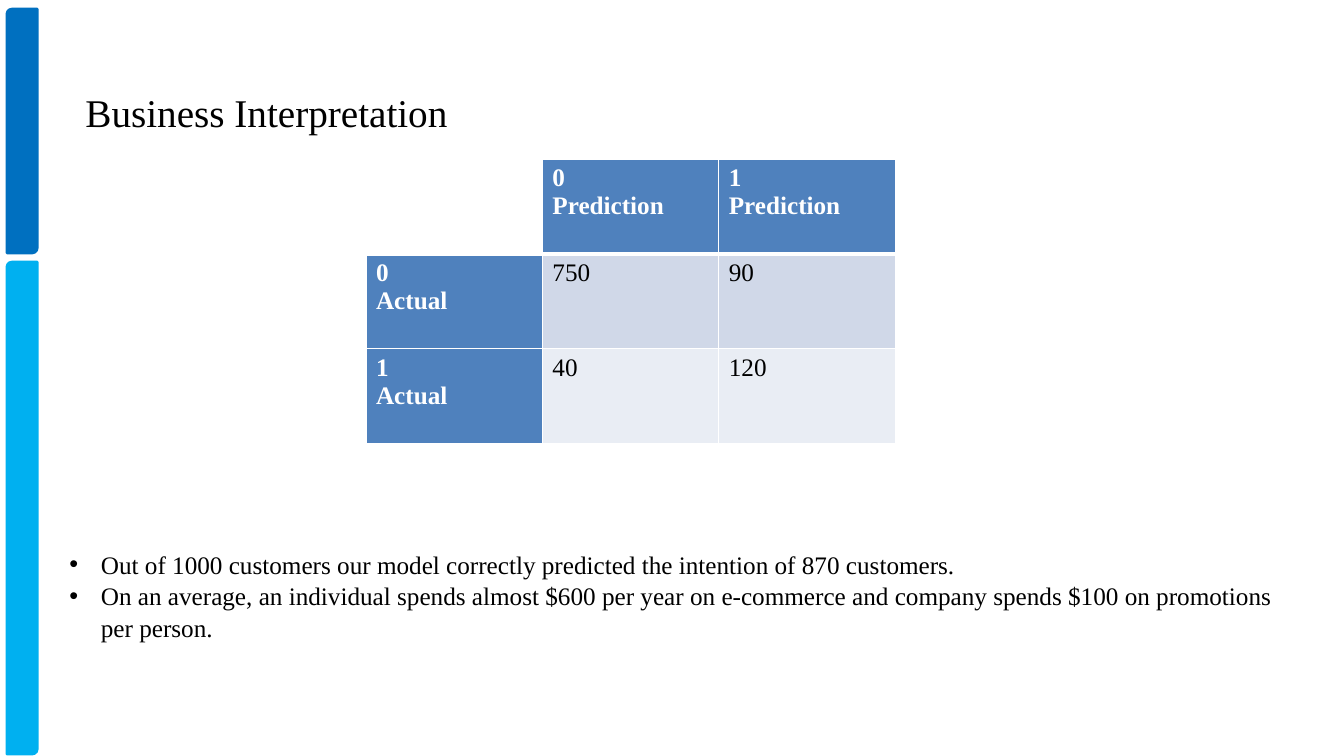
from lxml import etree
from pptx import Presentation
from pptx.dml.color import RGBColor
from pptx.enum.shapes import MSO_SHAPE
from pptx.oxml.ns import qn
from pptx.util import Pt

BAR_SHAPE = MSO_SHAPE.ROUND_2_DIAG_RECTANGLE
FONT = "Times New Roman"
COLORS = {
    "white": "FFFFFF", "black": "000000", "header": "4F81BD",
    "band1": "D0D8E8", "band2": "E9EDF4",
    "dark_bar": "0070C0", "light_bar": "00B0F0",
}

TITLE = "Business Interpretation"
MATRIX = [
    ["", "0\nPrediction", "1\nPrediction"],
    ["0\nActual", "750", "90"],
    ["1\nActual", "40", "120"],
]
BULLETS = [
    "Out of 1000 customers our model correctly predicted the intention of 870 customers.",
    "On an average, an individual spends almost $600 per year on e-commerce "
    "and company spends $100 on promotions per person.",
]
BARS = [("dark_bar", 6.5, 174.2), ("light_bar", 187.2, 351.4)]
BAR_LEFT, BAR_WIDTH = 5, 21.6
TABLE_LEFT, TABLE_TOP, COL_WIDTH, ROW_HEIGHT = 261.4, 113.8, 126, 67.7


def rgb(name):
    return RGBColor.from_string(COLORS[name])


def add_run(p, text, size, color="black", bold=False):
    r = p.add_run()
    r.text = text
    r.font.name = FONT
    r.font.size = Pt(size)
    r.font.bold = bold
    r.font.color.rgb = rgb(color)


def set_borders(cell, bottom):
    tc_pr = cell._tc.get_or_add_tcPr()
    widths = {"a:lnL": 1, "a:lnR": 1, "a:lnT": 1, "a:lnB": bottom}
    for i, (tag, width) in enumerate(widths.items()):
        ln = etree.Element(qn(tag), w=str(Pt(width)))
        fill = etree.SubElement(ln, qn("a:solidFill"))
        etree.SubElement(fill, qn("a:srgbClr"), val=COLORS["white"])
        tc_pr.insert(i, ln)


def add_bars(slide):
    for color, top, height in BARS:
        sp = slide.shapes.add_shape(
            BAR_SHAPE, Pt(BAR_LEFT), Pt(top), Pt(BAR_WIDTH), Pt(height))
        sp.shadow.inherit = False
        sp.fill.solid()
        sp.fill.fore_color.rgb = rgb(color)
        sp.line.color.rgb = rgb(color)
        sp.line.width = Pt(2)


def add_matrix(slide):
    rows, cols = len(MATRIX), len(MATRIX[0])
    table = slide.shapes.add_table(
        rows, cols, Pt(TABLE_LEFT), Pt(TABLE_TOP),
        Pt(COL_WIDTH * cols), Pt(ROW_HEIGHT * rows)).table
    table.first_col = True
    for col in table.columns:
        col.width = Pt(COL_WIDTH)
    for i, values in enumerate(MATRIX):
        table.rows[i].height = Pt(ROW_HEIGHT)
        for j, value in enumerate(values):
            cell = table.cell(i, j)
            is_header = i == 0 or j == 0
            fill = "header" if is_header else f"band{i}"
            cell.fill.solid()
            cell.fill.fore_color.rgb = rgb(fill if value else "white")
            set_borders(cell, 3 if i == 0 else 1)
            if not value:
                continue
            tf = cell.text_frame
            for k, line in enumerate(value.split("\n")):
                p = tf.add_paragraph() if k else tf.paragraphs[0]
                add_run(p, line, 18, "white" if is_header else "black", is_header)


def add_title(slide):
    tf = slide.shapes.add_textbox(Pt(54), Pt(59.8), Pt(275.8), Pt(41)).text_frame
    tf.word_wrap = False
    add_run(tf.paragraphs[0], TITLE, 28)


def add_bullets(slide):
    tf = slide.shapes.add_textbox(Pt(42.5), Pt(365.8), Pt(887.8), Pt(138.2)).text_frame
    tf.word_wrap = True
    tf.margin_top = Pt(25.2)
    for i, text in enumerate(BULLETS):
        p = tf.add_paragraph() if i else tf.paragraphs[0]
        p.line_spacing = 1.05
        p_pr = p._p.get_or_add_pPr()
        p_pr.set("marL", str(Pt(22.5)))
        p_pr.set("indent", str(Pt(-22.5)))
        etree.SubElement(p_pr, qn("a:buFont"), typeface="Arial")
        etree.SubElement(p_pr, qn("a:buChar"), char="•")
        add_run(p, text, 18)


def main():
    prs = Presentation()
    prs.slide_width, prs.slide_height = Pt(960), Pt(540)
    slide = prs.slides.add_slide(prs.slide_layouts[6])
    add_bars(slide)
    add_matrix(slide)
    add_title(slide)
    add_bullets(slide)
    prs.save("out.pptx")


if __name__ == "__main__":
    main()
